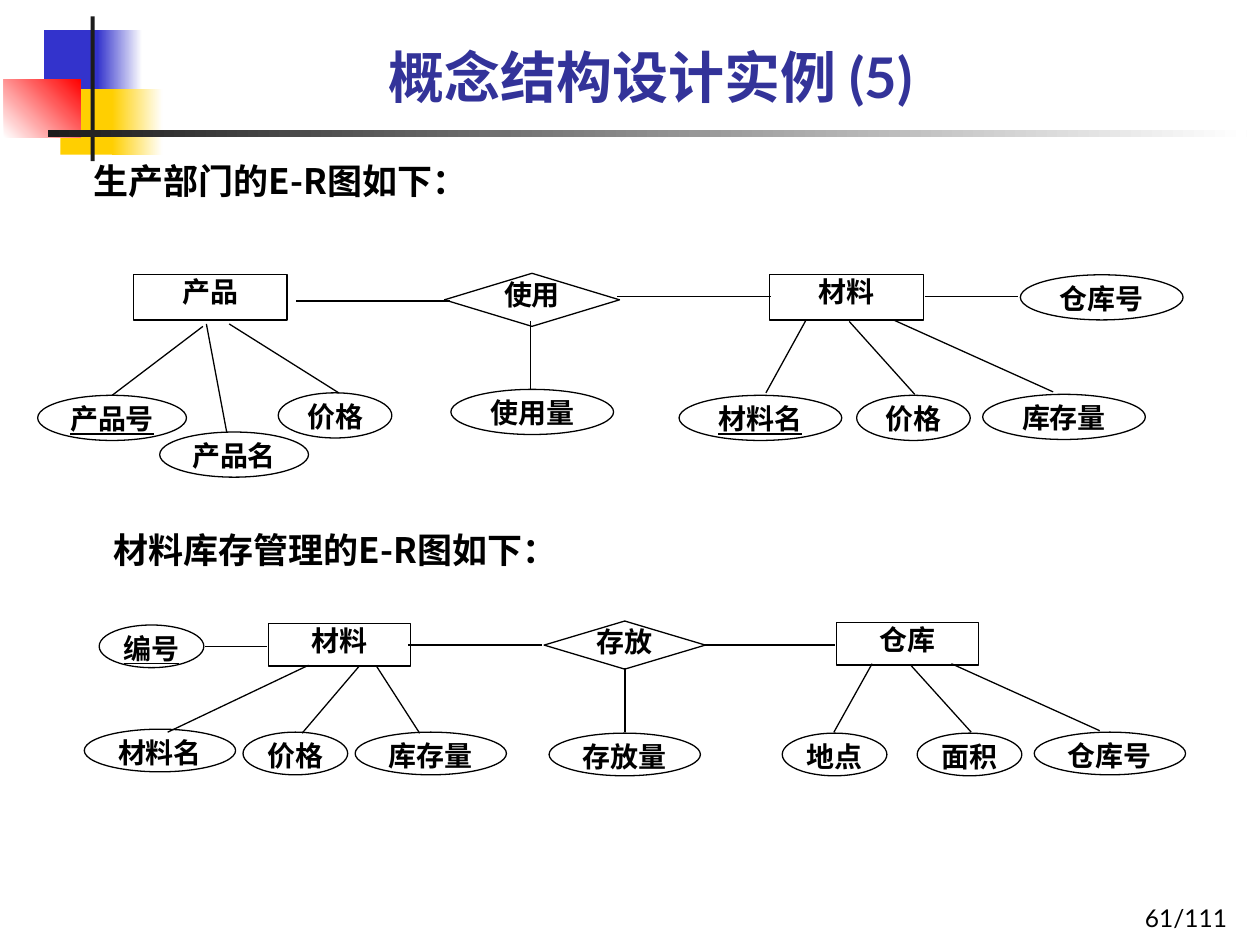
from lxml import etree
from pptx import Presentation
from pptx.dml.color import RGBColor
from pptx.enum.shapes import MSO_CONNECTOR, MSO_SHAPE
from pptx.enum.text import MSO_ANCHOR, PP_ALIGN
from pptx.oxml.ns import qn
from pptx.util import Cm, Pt

RECT, OVAL, DIAMOND = MSO_SHAPE.RECTANGLE, MSO_SHAPE.OVAL, MSO_SHAPE.DIAMOND
LINE = MSO_CONNECTOR.STRAIGHT
TOP, MIDDLE, BOTTOM = MSO_ANCHOR.TOP, MSO_ANCHOR.MIDDLE, MSO_ANCHOR.BOTTOM
LEFT, CENTER, RIGHT = PP_ALIGN.LEFT, PP_ALIGN.CENTER, PP_ALIGN.RIGHT

COLORS = {"blue": "3333CC", "yellow": "FFCF01", "red": "FF0000", "dark": "1C1C1C",
          "white": "FFFFFF", "black": "000000", "title": "333399"}
CJK = "Noto Sans CJK SC"

# Node sizes in cm: entity, relation, attributes by number of characters
PRODUCTION_SIZES = {"entity": (3.1, 0.91), "relation": (3.53, 1.07),
                    2: (2.29, 0.91), 3: (3.28, 0.91)}
STOCK_SIZES = {"entity": (2.87, 0.86), "relation": (3.25, 0.97),
               2: (2.11, 0.86), 3: (3.05, 0.86)}

# Nodes: kind, left, top, text ("key" is an underlined attribute)
PRODUCTION_NODES = [
    ("entity", 1.93, 0.03, "产品"), ("key", 0, 2.46, "产品号"),
    ("attribute", 2.46, 3.2, "产品名"), ("attribute", 4.85, 2.41, "价格"),
    ("relation", 8.2, 0, "使用"), ("attribute", 8.33, 2.34, "使用量"),
    ("entity", 14.76, 0.03, "材料"), ("key", 12.93, 2.46, "材料名"),
    ("attribute", 16.51, 2.46, "价格"), ("attribute", 19.05, 2.44, "库存量"),
    ("attribute", 19.81, 0.03, "仓库号"),
]
STOCK_NODES = [
    ("entity", 3.71, 0.05, "材料"), ("key", 0.3, 0.08, "编号"),
    ("attribute", 0, 2.18, "材料名"), ("attribute", 3.2, 2.24, "价格"),
    ("attribute", 5.46, 2.24, "库存量"),
    ("relation", 9.27, 0, "存放"), ("attribute", 9.37, 2.26, "存放量"),
    ("entity", 15.16, 0.03, "仓库"), ("attribute", 14.07, 2.26, "地点"),
    ("attribute", 16.79, 2.26, "面积"), ("attribute", 19.15, 2.24, "仓库号"),
]

# Links: x1, y1, x2, y2
PRODUCTION_LINKS = [
    (5.21, 0.56, 8.31, 0.56), (11.68, 0.46, 14.78, 0.46), (17.88, 0.46, 19.76, 0.46),
    (3.33, 1.07, 1.5, 2.46), (3.4, 1.02, 3.81, 3.2), (3.86, 1.02, 6.07, 2.41),
    (9.93, 0.97, 9.93, 2.36),
    (15.49, 0.94, 14.68, 2.41), (16.36, 0.97, 17.68, 2.44), (17.25, 0.94, 20.47, 2.39),
]
STOCK_LINKS = [
    (2.44, 0.51, 3.68, 0.51), (6.53, 0.48, 9.22, 0.48), (12.47, 0.48, 15.14, 0.48),
    (4.52, 0.89, 1.68, 2.24), (5.54, 0.91, 4.39, 2.26), (5.89, 0.91, 6.76, 2.26),
    (10.9, 0.94, 10.9, 2.24),
    (15.88, 0.86, 15.11, 2.24), (16.66, 0.89, 17.88, 2.24), (17.48, 0.86, 20.47, 2.21),
]


def rgb(name):
    return RGBColor.from_string(COLORS[name])


def write(tf, text, size, font, color="black", bold=True, align=CENTER, anchor=TOP):
    """Put one line of text in a frame and return its paragraph."""
    tf.vertical_anchor = anchor
    p = tf.paragraphs[0]
    p.alignment = align
    p.add_run().text = text
    p.font.size, p.font.name, p.font.bold = Pt(size), font, bold
    p.font.color.rgb = rgb(color)
    etree.SubElement(p._p.pPr.find(qn("a:defRPr")), qn("a:ea"), typeface=CJK)
    return p


def add_text(s, box, text, size, font, wrap=True, **style):
    tf = s.shapes.add_textbox(*map(Cm, box)).text_frame
    tf.word_wrap = wrap
    write(tf, text, size, font, **style)


def add_ornament(s, left, top):
    """Coloured squares with the crossing bars."""
    blocks = [
        (0.81, 0.28, 1.22, 1.32, ["blue"], 0),
        (1.88, 0.28, 0.91, 1.32, ["blue", "white"], 0),
        (1.14, 1.47, 1.17, 1.32, ["yellow"], 0),
        (2.18, 1.47, 1.02, 1.32, ["yellow", "white"], 0),
        (0, 1.27, 1.55, 1.17, ["white", "red"], 45),
        (1.75, 0, 0.08, 2.92, ["dark"], 0),
        (0.89, 2.29, 24.16, 0.15, ["dark", "white"], 0),
    ]
    for x, y, w, h, colors, angle in blocks:
        sp = s.shapes.add_shape(RECT, Cm(left + x), Cm(top + y), Cm(w), Cm(h))
        sp.shadow.inherit = False
        sp.line.fill.background()
        if len(colors) == 1:
            sp.fill.solid()
            sp.fill.fore_color.rgb = rgb(colors[0])
        else:
            sp.fill.gradient()
            sp.fill.gradient_angle = angle
            for stop, color in zip(sp.fill.gradient_stops, colors):
                stop.color.rgb = rgb(color)


def add_node(s, kind, x, y, w, h, text):
    shape = {"entity": RECT, "relation": DIAMOND}.get(kind, OVAL)
    sp = s.shapes.add_shape(shape, Cm(x), Cm(y), Cm(w), Cm(h))
    sp.shadow.inherit = False
    sp.line.color.rgb = rgb("black")
    sp.line.width = Pt(0.75)
    if shape == OVAL:
        sp.fill.background()
    else:
        sp.fill.solid()
        sp.fill.fore_color.rgb = rgb("white")
    tf = sp.text_frame
    tf.margin_left = tf.margin_right = tf.margin_top = tf.margin_bottom = 0
    p = write(tf, text, 16, "Times New Roman")
    if kind == "entity":
        p.space_before = Pt(1.5)
    elif kind == "relation":
        p.line_spacing = 0.72
    elif kind == "key":
        p.font.underline = True


def add_er_diagram(s, left, top, sizes, nodes, links):
    for kind, x, y, text in nodes:
        w, h = sizes.get(kind) or sizes[len(text)]
        if text in ("产品号", "产品名"):
            w = 3.0  # product attributes are slightly narrower
        add_node(s, kind, left + x, top + y, w, h, text)
    for x1, y1, x2, y2 in links:
        link = s.shapes.add_connector(LINE, Cm(left + x1), Cm(top + y1),
                                      Cm(left + x2), Cm(top + y2))
        link.line.color.rgb = rgb("black")
        link.line.width = Pt(0.75)
        etree.SubElement(link._element.spPr, qn("a:effectLst"))


def main():
    prs = Presentation()
    prs.slide_width, prs.slide_height = Cm(25.4), Cm(19.05)
    s = prs.slides.add_slide(prs.slide_layouts[6])

    # Frame: ornament, title, page number
    add_ornament(s, 0.08, 0.33)
    add_text(s, (2.29, 0.13, 21.64, 2.21), "概念结构设计实例 (5)", 32, "Lato",
             color="title", anchor=BOTTOM)
    add_text(s, (19.71, 17.65, 5.28, 1.27), "61/111", 14, "Lato",
             bold=False, align=RIGHT, anchor=BOTTOM)

    # Production department
    add_text(s, (1.63, 3.07, 8.46, 1.12), "生产部门的E-R图如下：", 20, CJK,
             wrap=False, align=LEFT, anchor=MIDDLE)
    add_er_diagram(s, 0.76, 5.51, PRODUCTION_SIZES, PRODUCTION_NODES, PRODUCTION_LINKS)

    # Material stock
    add_text(s, (2.03, 10.52, 9.86, 1.12), "材料库存管理的E-R图如下：", 20, CJK,
             wrap=False, align=LEFT, anchor=MIDDLE)
    add_er_diagram(s, 1.7, 12.52, STOCK_SIZES, STOCK_NODES, STOCK_LINKS)

    prs.save("out.pptx")


if __name__ == "__main__":
    main()
